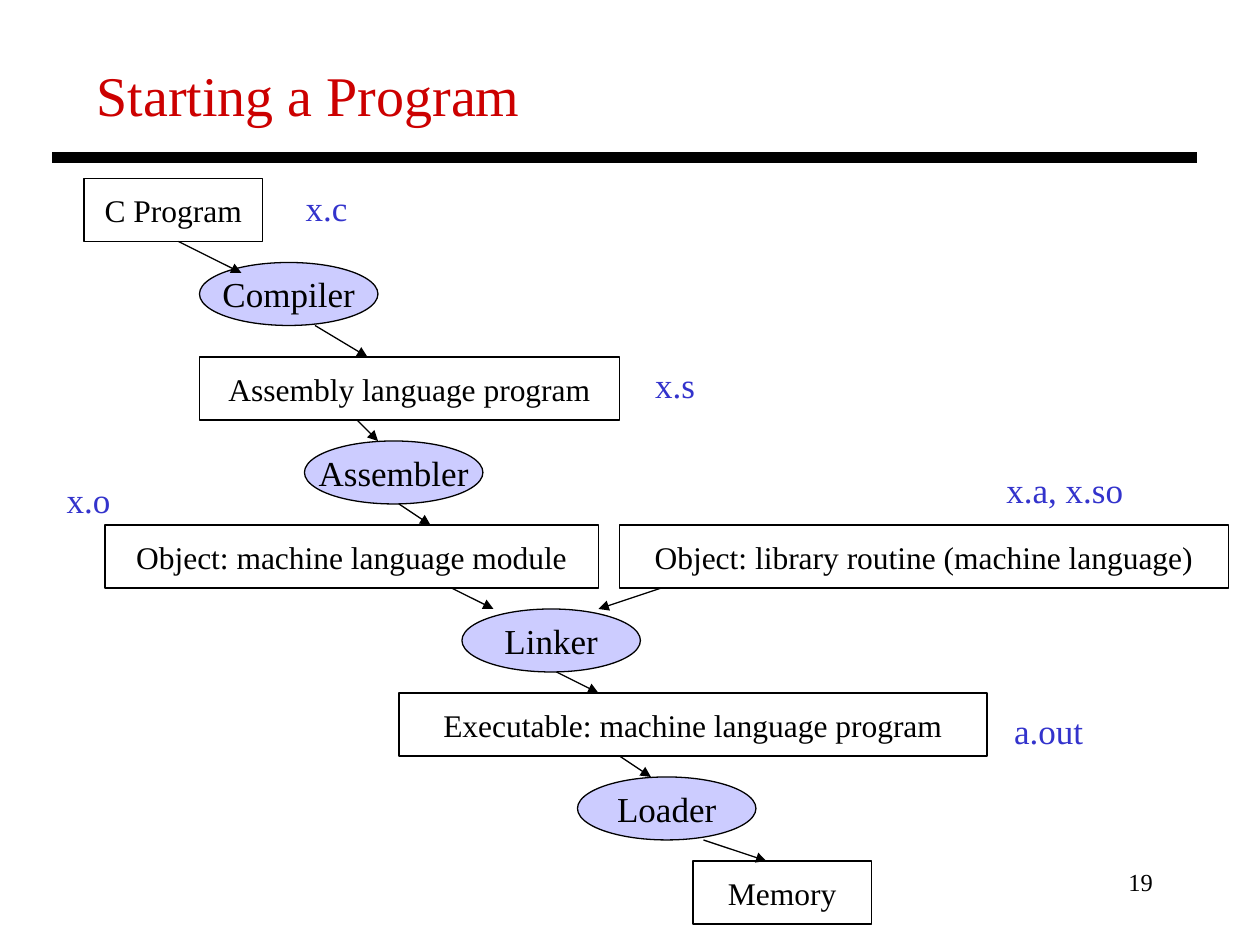
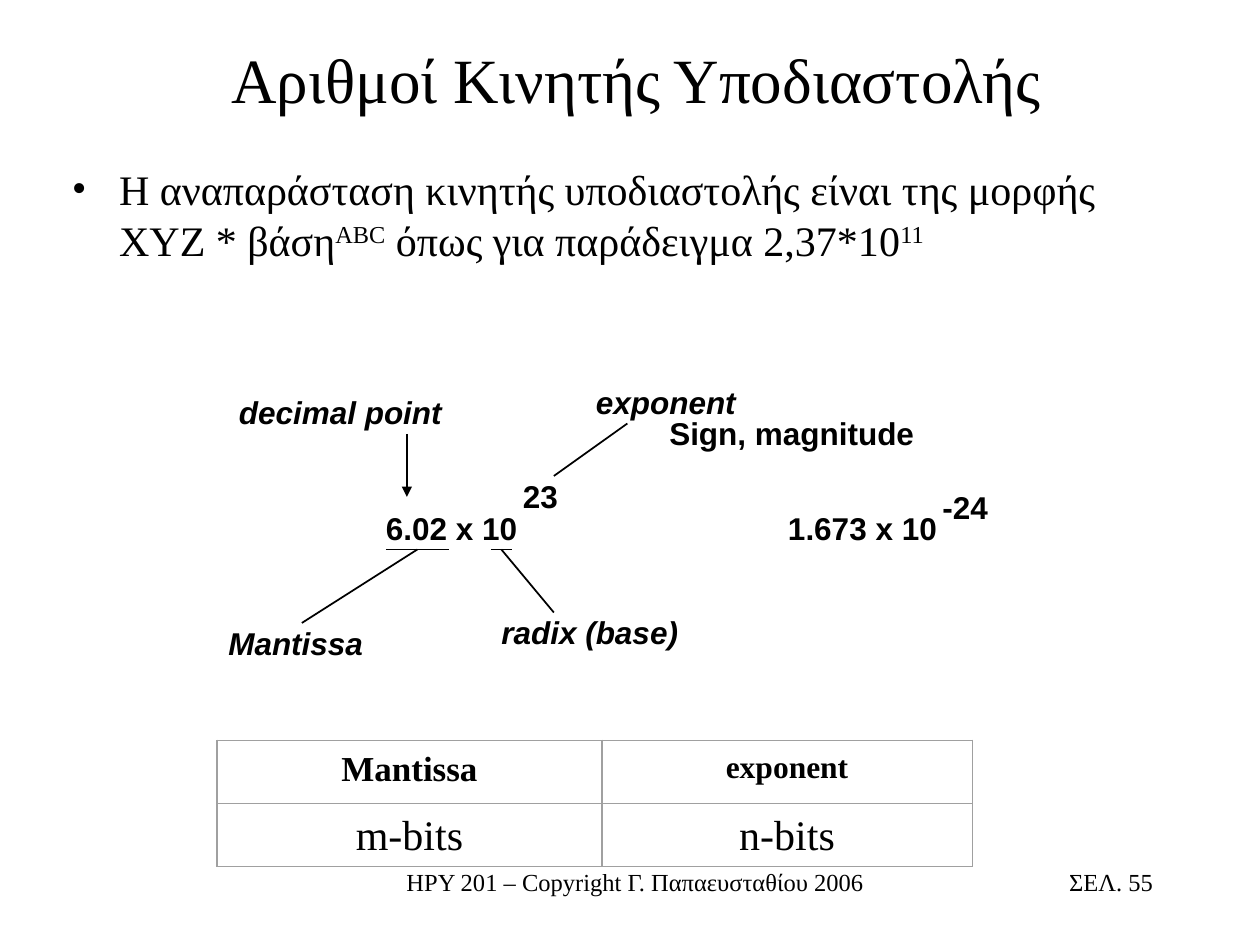
from lxml.etree import SubElement
from pptx import Presentation
from pptx.dml.color import RGBColor
from pptx.enum.shapes import MSO_CONNECTOR, MSO_SHAPE
from pptx.enum.text import MSO_ANCHOR, MSO_AUTO_SIZE, PP_ALIGN
from pptx.oxml.ns import qn
from pptx.util import Pt

BLACK, WHITE, RED = "000000", "FFFFFF", "CC0000"
LAVENDER, BLUE, GREY = "CCCCFF", "3333CC", "A0A0A0"
SERIF, SANS = "Times New Roman", "Arial"
LEFT, CENTER, RIGHT = PP_ALIGN.LEFT, PP_ALIGN.CENTER, PP_ALIGN.RIGHT
FRAME = {"word_wrap": True, "auto_size": MSO_AUTO_SIZE.NONE,
         "vertical_anchor": MSO_ANCHOR.TOP,
         "margin_left": Pt(7.2), "margin_right": Pt(7.2),
         "margin_top": Pt(3.6), "margin_bottom": Pt(3.6)}
TIGHT = {"word_wrap": False, "margin_left": Pt(5), "margin_right": Pt(5),
         "margin_top": Pt(1.7), "margin_bottom": Pt(1.7)}
MIDDLE = {"word_wrap": False, "vertical_anchor": MSO_ANCHOR.MIDDLE}
FOOTER_TOP, FOOTER_HEIGHT = 492, 36
STAGE_HEIGHT, TOOL_WIDTH = 36, 102


def rgb(code):
    """Turn a hex string into a colour."""
    return RGBColor.from_string(code)


def apply(target, values):
    """Set each named attribute on the target."""
    for name, value in values.items():
        setattr(target, name, value)


def points(*lengths):
    """Convert lengths to points."""
    return [Pt(length) for length in lengths]


def write(frame, text, size, color=BLACK, align=LEFT, font=SERIF, raised=(), **style):
    """Write one paragraph, raising the parts listed as superscripts."""
    paragraph = frame.paragraphs[0]
    paragraph.alignment = align
    parts = [text] if isinstance(text, str) else text
    for part in parts:
        run = paragraph.add_run()
        run.text = part
        apply(run.font, {"name": font, "size": Pt(size), **style})
        run.font.color.rgb = rgb(color)
        if part in raised:
            run._r.get_or_add_rPr().set("baseline", "30000")
    return paragraph


def add_title(slide, text, box, size, color=BLACK, align=LEFT, **layout):
    """Place and format the slide title."""
    title = slide.shapes.title
    apply(title, dict(zip(("left", "top", "width", "height"), points(*box))))
    apply(title.text_frame, FRAME | layout)
    write(title.text_frame, text, size, color, align)


def add_text(slide, text, box, size, layout=None, **style):
    """Add a text box and return its paragraph."""
    frame = slide.shapes.add_textbox(*points(*box)).text_frame
    apply(frame, FRAME | (layout or {}))
    return write(frame, text, size, **style)


def add_footer(slide, text, left, width, align):
    """Add one footer entry."""
    add_text(slide, text, (left, FOOTER_TOP, width, FOOTER_HEIGHT), 14, align=align)


def add_page(slide, text):
    """Add the page number at the lower right."""
    add_footer(slide, text, 516, 150, RIGHT)


def add_stage(slide, kind, text, left, top, width, fill, size):
    """Add an outlined stage of the build chain."""
    stage = slide.shapes.add_shape(kind, *points(left, top, width, STAGE_HEIGHT))
    stage.shadow.inherit = False
    stage.fill.solid()
    stage.fill.fore_color.rgb = rgb(fill)
    stage.line.color.rgb = rgb(BLACK)
    stage.line.width = Pt(0.75)
    apply(stage.text_frame, FRAME | MIDDLE)
    write(stage.text_frame, text, size, align=CENTER)


def add_line(slide, ends, width, arrow=False):
    """Add a straight black line, with an arrowhead if asked."""
    line = slide.shapes.add_connector(MSO_CONNECTOR.STRAIGHT, *points(*ends))
    line.line.color.rgb = rgb(BLACK)
    line.line.width = Pt(width)
    properties = line._element.spPr
    if arrow:
        SubElement(properties.find(qn("a:ln")), qn("a:tailEnd"), type="triangle")
    SubElement(properties, qn("a:effectLst"))


def add_bullet(paragraph, indent):
    """Give the paragraph a hanging round bullet."""
    properties = paragraph._p.get_or_add_pPr()
    properties.set("marL", str(Pt(indent)))
    properties.set("indent", str(-Pt(indent)))
    SubElement(properties, qn("a:buFont"), typeface=SERIF)
    SubElement(properties, qn("a:buChar"), char="•")


def outline_cell(cell):
    """Draw thin grey borders round an unfilled cell."""
    properties = cell._tc.get_or_add_tcPr()
    for side in ("a:lnL", "a:lnR", "a:lnT", "a:lnB"):
        border = SubElement(properties, qn(side), w=str(Pt(0.75)))
        fill = SubElement(border, qn("a:solidFill"))
        SubElement(fill, qn("a:srgbClr"), val=GREY)
    cell.fill.background()


def add_format_table(slide, rows, left, top, widths, row_height):
    """Add the table of number fields and their sizes."""
    table = slide.shapes.add_table(len(rows), len(widths), *points(
        left, top, sum(widths), row_height * len(rows))).table
    apply(table, {"first_row": False, "horz_banding": False})
    for column, width in zip(table.columns, widths):
        column.width = Pt(width)
    for r, row in enumerate(rows):
        table.rows[r].height = Pt(row_height)
        for c, (text, size, bold) in enumerate(row):
            cell = table.cell(r, c)
            apply(cell, {"margin_top": Pt(5.6), "margin_bottom": 0})
            outline_cell(cell)
            write(cell.text_frame, text, size, align=CENTER, bold=bold)


def build_program_slide(slide):
    """Show how a C program reaches memory."""
    add_title(slide, "Starting a Program", (48, 31, 636, 46), 32, RED)
    add_page(slide, "19")
    add_line(slide, (30, 90, 684, 90), 6)
    for text, left, top, width in (
            ("C Program", 48, 102, 102),
            ("Assembly language program", 114, 204, 240),
            ("Object: machine language module", 60, 300, 282),
            ("Object: library routine (machine language)", 354, 300, 348),
            ("Executable: machine language program", 228, 396, 336),
            ("Memory", 396, 492, 102)):
        add_stage(slide, MSO_SHAPE.RECTANGLE, text, left, top, width, WHITE, 18)
    for text, left, top in (("Compiler", 114, 150), ("Assembler", 174, 252),
                            ("Linker", 264, 348), ("Loader", 330, 444)):
        add_stage(slide, MSO_SHAPE.OVAL, text, left, top, TOOL_WIDTH, LAVENDER, 20)
    for step in ((102, 138, 138, 156), (180, 186, 210, 204), (204, 240, 216, 252),
                 (228, 288, 246, 300), (258, 336, 282, 348), (378, 336, 342, 348),
                 (318, 384, 342, 396), (354, 432, 372, 444), (402, 480, 438, 492)):
        add_line(slide, step, 0.75, arrow=True)
    for file_name, left, top, width in (
            ("x.c", 167.6, 103, 38), ("x.s", 367.2, 204, 37), ("x.o", 31, 270, 40),
            ("x.a, x.so", 568, 264, 81), ("a.out", 572.4, 402, 54)):
        add_text(slide, file_name, (left, top, width, 32), 20,
                 {"word_wrap": False}, color=BLUE)


def build_floating_point_slide(slide):
    """Explain the parts of a floating point number."""
    add_title(slide, "Αριθμοί Κινητής Υποδιαστολής", (39.6, 0, 648, 90), 36,
              align=CENTER, vertical_anchor=MSO_ANCHOR.MIDDLE)
    add_footer(slide, "ΗΡΥ 201 – Copyright Γ. Παπαευσταθίου 2006", 216, 294, CENTER)
    add_page(slide, "ΣΕΛ. 55")
    definition = ["Η αναπαράσταση κινητής υποδιαστολής είναι της μορφής ΧΥΖ * βάση",
                  "ABC", " όπως για παράδειγμα 2,37*10", "11"]
    add_bullet(add_text(slide, definition, (34, 90, 648, 356), 24,
                        raised=("ABC", "11")), 27)
    for text, left, top, width, italic in (
            ("6.02 x 10", 215.5, 292.5, 86, False),
            ("1.673 x 10", 445.3, 292.5, 96, False),
            ("23", 293.8, 274.3, 30, False),
            ("-24", 533.5, 280.3, 36, False),
            ("exponent", 335.5, 220.3, 90, True),
            ("radix (base)", 281.5, 352, 111, True),
            ("Mantissa", 125.5, 358, 87, True),
            ("decimal point", 131.5, 226.2, 126, True),
            ("Sign, magnitude", 377.5, 238.3, 150, False)):
        label = add_text(slide, text, (left, top, width, 22.3), 18, TIGHT,
                         font=SANS, bold=True, italic=italic)
        label.line_spacing = 0.85
    for pointer in ((220.5, 314, 256.5, 314), (238.5, 314, 172.5, 356),
                    (280.5, 314, 292.5, 314), (286.5, 314, 316.5, 350),
                    (316.5, 272, 358.5, 242)):
        add_line(slide, pointer, 1)
    add_line(slide, (232.5, 248, 232.5, 284), 1, arrow=True)
    add_format_table(slide, ((("Mantissa", 20, True), ("exponent", 18, True)),
                             (("m-bits", 24, False), ("n-bits", 24, False))),
                     124, 423, (220, 211.5), 36)


def main():
    """Build and save both slides."""
    deck = Presentation()
    apply(deck, {"slide_width": Pt(720), "slide_height": Pt(540)})
    for build in (build_program_slide, build_floating_point_slide):
        build(deck.slides.add_slide(deck.slide_layouts[5]))
    deck.save("out.pptx")


if __name__ == "__main__":
    main()
